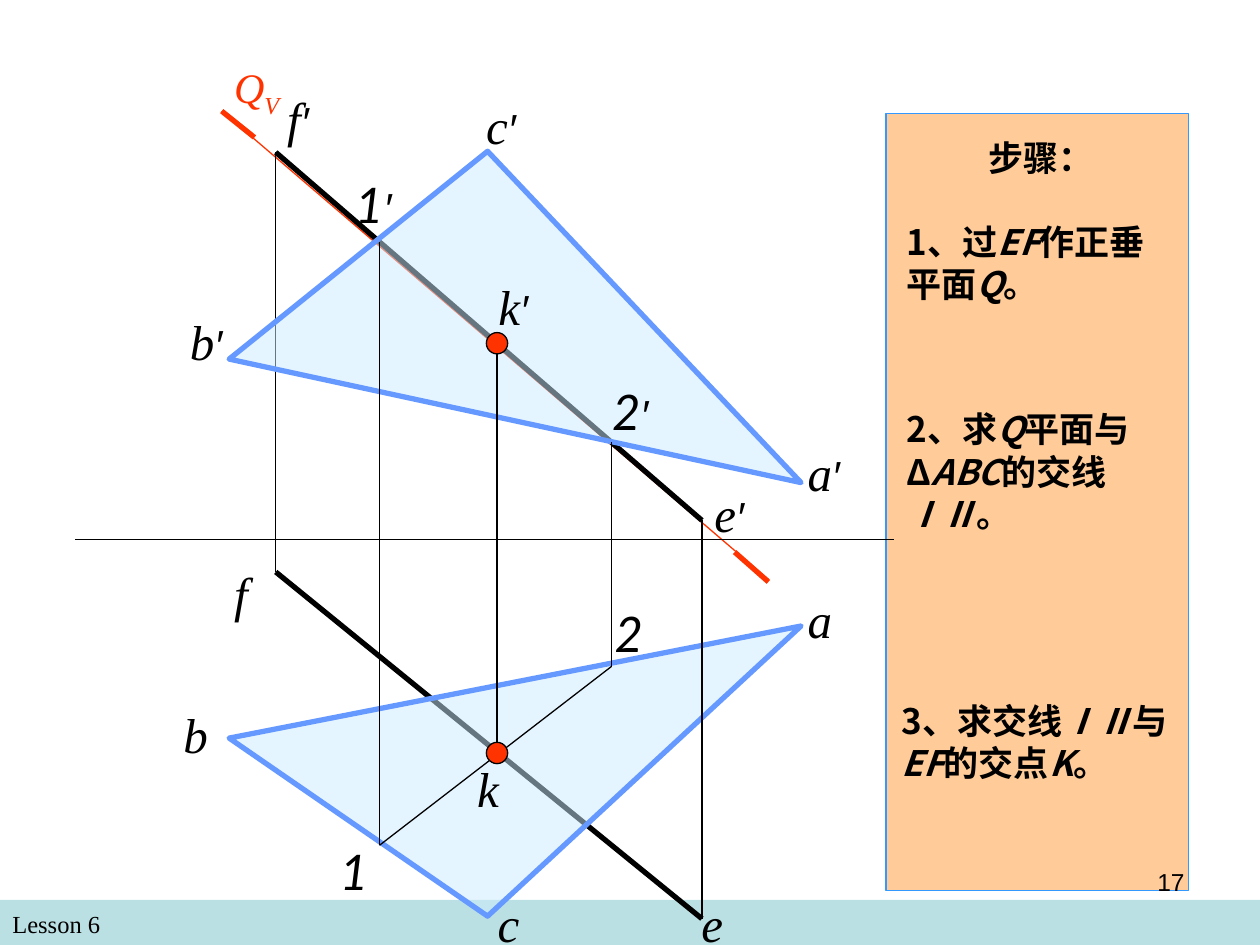
import pptx
import pptx.dml.color
import pptx.enum.shapes
import pptx.enum.text
import pptx.oxml.ns
import pptx.util
from lxml import etree

Cm = pptx.util.Cm
Pt = pptx.util.Pt
Align = pptx.enum.text.PP_ALIGN
Shape = pptx.enum.shapes.MSO_SHAPE


def colour(target, code):
    target.rgb = pptx.dml.color.RGBColor.from_string(code)


class Drawing:
    black, red, blue, tint = "000000", "FF3300", "6699FF", "CCECFF"
    thin, thick = 0.75, 3
    serif, sans, digit, chinese = "Times New Roman", "Arial", "Lato", "Noto Sans CJK SC"

    def __init__(self, page):
        self.page = page

    def outline(self, shape, code, width):
        colour(shape.line.color, code) if shape.line.fill.solid() is None else None
        shape.line.width = Pt(width)

    def line(self, start, end, code=black, width=thin):
        line = self.page.shapes.add_connector(
            pptx.enum.shapes.MSO_CONNECTOR.STRAIGHT, *map(Cm, start + end))
        self.outline(line, code, width)
        etree.SubElement(line._element.spPr, pptx.oxml.ns.qn("a:effectLst"))

    def shape(self, kind, left, top, width, height, fill, border=None):
        shape = self.page.shapes.add_shape(kind, *map(Cm, (left, top, width, height)))
        shape.shadow.inherit = False
        shape.fill.solid()
        colour(shape.fill.fore_color, fill)
        if border:
            self.outline(shape, border, self.thin)
        else:
            shape.line.fill.background()

    def triangle(self, *corners):
        first, *others = [tuple(map(Cm, corner)) for corner in corners]
        builder = self.page.shapes.build_freeform(*first)
        builder.add_line_segments(others, close=True)
        shape = builder.convert_to_shape()
        shape.shadow.inherit = False
        shape.fill.solid()
        colour(shape.fill.fore_color, self.tint)
        tone = shape._element.spPr.find(".//" + pptx.oxml.ns.qn("a:srgbClr"))
        etree.SubElement(tone, pptx.oxml.ns.qn("a:alpha"), val="50000")
        self.outline(shape, self.blue, self.thick)

    def dot(self, centre, size=0.43):
        self.shape(Shape.OVAL, centre[0] - size / 2, centre[1] - size / 2,
                   size, size, self.red, self.black)

    def box(self, left, top, width, height):
        box = self.page.shapes.add_textbox(*map(Cm, (left, top, width, height)))
        box.text_frame.word_wrap = True
        return box.text_frame

    def style(self, para, size, font, code=black):
        para.font.size = Pt(size)
        para.font.name = font
        colour(para.font.color, code)

    def text(self, words, left, top, width, height, size, font, align=Align.LEFT):
        para = self.box(left, top, width, height).paragraphs[0]
        para.text = words
        para.alignment = align
        self.style(para, size, font)

    def label(self, name, left, top, width):
        para = self.box(left, top, width, 1.45).paragraphs[0]
        para.add_run().text = name[0]
        self.style(para, 28, self.digit if name[0].isdigit() else self.serif)
        para.font.italic = True
        if len(name) > 1:
            prime = para.add_run()
            prime.text = name[1]
            prime.font.size = Pt(24)
            prime.font.name = self.sans

    def plane_label(self, name, subscript, left, top, width):
        para = self.box(left, top, width, 1.42).paragraphs[0]
        para.add_run().text = name
        lowered = para.add_run()
        lowered.text = subscript
        lowered.font._element.set("baseline", "-25000")
        self.style(para, 24, self.serif, self.red)
        para.font.italic = True

    def steps(self, left, top, height, *lines):
        frame = self.box(left, top, 5.92, height)
        for index, (align, spans) in enumerate(lines):
            para = frame.add_paragraph() if index else frame.paragraphs[0]
            para.alignment = align
            if index:
                para.space_before = Pt(24)
            self.style(para, 20, self.chinese)
            para.font.bold = True
            for position, words in enumerate(spans):
                span = para.add_run()
                span.text = words
                span.font.italic = position % 2 == 1
                etree.SubElement(span.font._element, pptx.oxml.ns.qn("a:ea"),
                                 typeface=self.chinese)


def main():
    deck = pptx.Presentation()
    deck.slide_width, deck.slide_height = Cm(25.4), Cm(19.05)
    draw = Drawing(deck.slides.add_slide(deck.slide_layouts[6]))

    draw.shape(Shape.RECTANGLE, 0, 18.14, 25.4, 0.91, "BBE0E3")
    draw.text("Lesson 6", 0, 18.21, 12.27, 0.86, 14, draw.serif)
    draw.shape(Shape.RECTANGLE, 17.86, 2.29, 6.1, 15.67, "FFCC99", "3399FF")

    f_front, f_top = (5.56, 3.07), (5.56, 11.53)
    e_front, e_top = (14.15, 10.49), (14.15, 18.52)
    one_front, one_top = (7.65, 4.88), (7.65, 17.04)
    two_front, two_top = (12.32, 8.92), (12.32, 13.44)
    k_front, k_top = (10.02, 6.92), (10.02, 15.18)

    draw.line((4.47, 2.24), (15.49, 11.68), draw.red)
    draw.line((4.47, 2.24), (5.13, 2.77), draw.red, draw.thick)
    draw.line((15.49, 11.73), (14.81, 11.13), draw.red, draw.thick)
    draw.line(f_front, e_front, width=draw.thick)
    draw.line(f_front, f_top)
    draw.line(f_top, e_top, width=draw.thick)
    draw.triangle((4.62, 7.24), (9.83, 3.05), (16.15, 9.73))
    draw.triangle((9.83, 18.47), (4.62, 14.88), (16.15, 12.62))

    draw.line((1.52, 10.87), (18.03, 10.87))
    draw.line(one_top, two_top)
    for front, top in ((e_front, e_top), (k_front, k_top),
                       (two_front, two_top), (one_front, one_top)):
        draw.line(front, top)
    draw.dot(k_top)
    draw.dot(k_front)

    draw.plane_label("Q", "V", 4.47, 1.12, 1.9)
    for name, left, top, width in (
            ("f′", 5.54, 1.65, 2.92), ("e′", 14.15, 9.63, 2.03),
            ("e", 13.89, 17.88, 1.42), ("f", 4.47, 11.23, 1.42),
            ("b", 3.45, 14.07, 2.79), ("a′", 16.03, 8.79, 3.23),
            ("a", 16.03, 11.76, 1.75), ("c", 9.78, 17.88, 1.75),
            ("b′", 3.58, 6.15, 2.97), ("c′", 9.55, 1.8, 1.83),
            ("1′", 6.91, 3.4, 1.9), ("2′", 12.09, 7.57, 1.9),
            ("2", 12.14, 12.04, 1.9), ("1", 6.6, 16.84, 1.9),
            ("k", 9.37, 15.16, 1.42), ("k′", 9.8, 5.44, 1.42)):
        draw.label(name, left, top, width)

    draw.steps(18.03, 2.62, 4.5, (Align.CENTER, ["步骤："]),
               (Align.LEFT, ["1、过", "EF", "作正垂平面", "Q", "。"]))
    draw.steps(18.03, 8.1, 1.96, (Align.LEFT, [
        "2、求", "Q", "平面与Δ", "ABC", "的交线", "ⅠⅡ", "。"]))
    draw.steps(17.93, 13.97, 1.96, (Align.LEFT, [
        "3、求交线", "ⅠⅡ", "与", "EF", "的交点", "K", "。"]))
    draw.text("17", 18.21, 17.35, 5.92, 1.32, 14, draw.sans, Align.RIGHT)
    deck.save("out.pptx")


if __name__ == "__main__":
    main()
